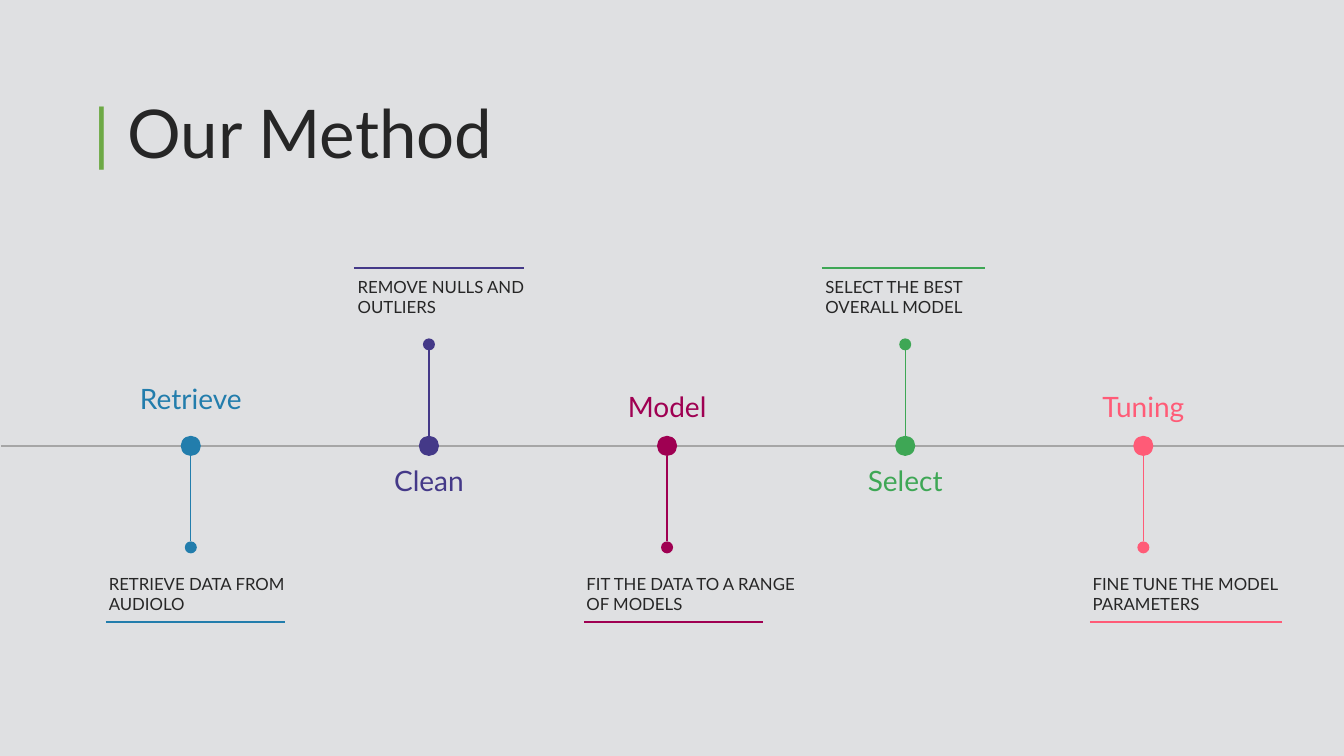
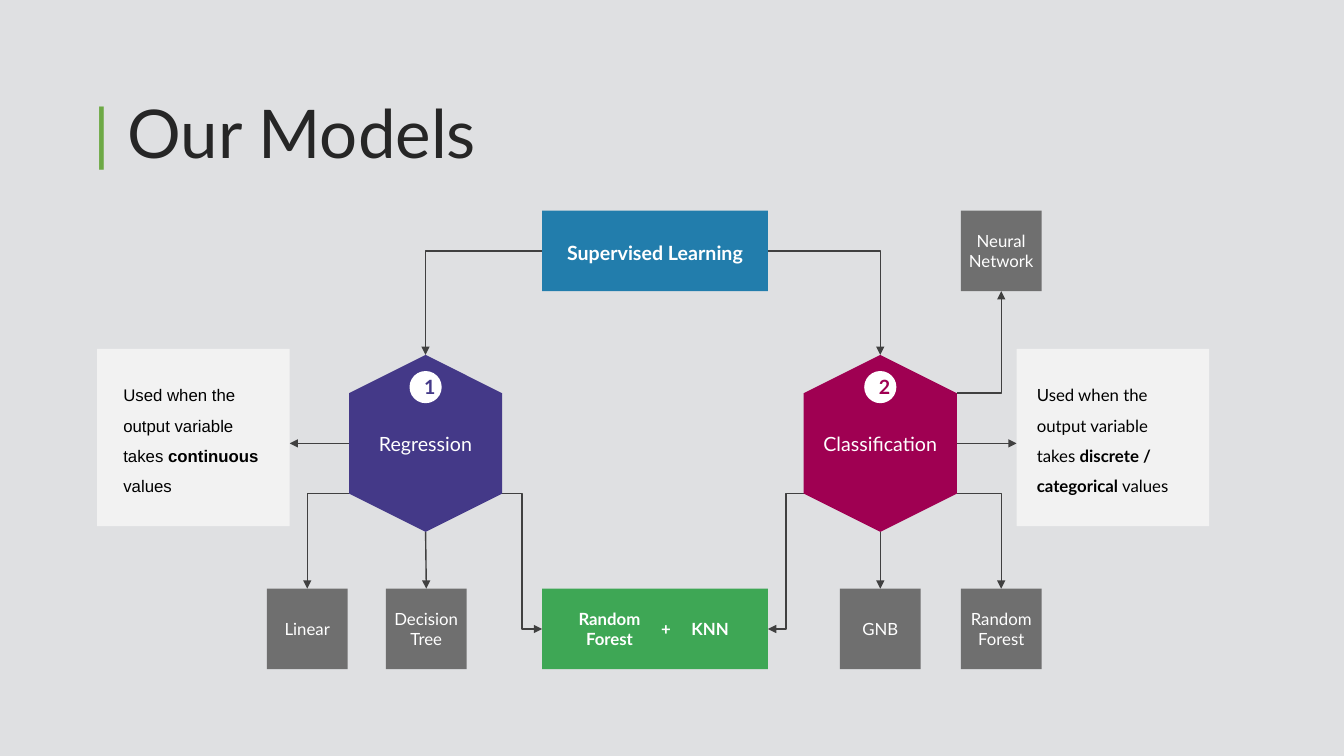
from dataclasses import dataclass

from lxml import etree
from pptx import Presentation
from pptx.dml.color import RGBColor
from pptx.enum.shapes import MSO_CONNECTOR, MSO_SHAPE
from pptx.enum.text import MSO_ANCHOR, PP_ALIGN
from pptx.oxml.ns import qn
from pptx.util import Pt

STRAIGHT, ELBOW = MSO_CONNECTOR.STRAIGHT, MSO_CONNECTOR.ELBOW
RECT, OVAL, HEXAGON = MSO_SHAPE.RECTANGLE, MSO_SHAPE.OVAL, MSO_SHAPE.HEXAGON
LEFT, CENTER = PP_ALIGN.LEFT, PP_ALIGN.CENTER
TOP, MIDDLE = MSO_ANCHOR.TOP, MSO_ANCHOR.MIDDLE
CORNER = "corner"


class Theme:
    background, ink, black, white = "DFE0E2", "262626", "000000", "FFFFFF"
    title_bar, axis, arrow = "6DA945", "A6A6A6", "404040"
    tile, card = "6F6F6F", "F2F2F2"
    blue, purple, plum = "227DAC", "443988", "9F0052"
    green, coral = "3EA755", "FF5B77"
    font, card_font = "Lato", "Arial"
    title_size, step_size, heading_size, body_size = 48, 20, 14, 12


@dataclass
class Box:
    left: float
    top: float
    width: float
    height: float

    @classmethod
    def around(cls, x, y, width, height):
        return cls(x - width / 2, y - height / 2, width, height)

    @property
    def right(self):
        return self.left + self.width

    @property
    def bottom(self):
        return self.top + self.height

    @property
    def x(self):
        return self.left + self.width / 2

    @property
    def y(self):
        return self.top + self.height / 2

    def lengths(self):
        return [Pt(v) for v in (self.left, self.top, self.width, self.height)]


# step, colour, label top, caption, caption left, rule left, rule width
STEPS = [
    ("Retrieve", Theme.blue, 269.3, "RETRIEVE DATA FROM AUDIOLO", 70.6, 75.6, 128),
    ("Clean", Theme.purple, 327.6, "REMOVE NULLS AND OUTLIERS", 248.4, 252.8, 121.5),
    ("Model", Theme.plum, 275, "FIT THE DATA TO A RANGE OF MODELS", 411.8, 417.4, 127.6),
    ("Select", Theme.green, 327.6, "SELECT THE BEST OVERALL MODEL", 582.5, 587, 116.5),
    ("Tuning", Theme.coral, 274.5, "FINE TUNE THE MODEL PARAMETERS", 773.3, 778.5, 137.2),
]
AXIS_Y, FIRST_STEP_X, STEP_GAP = 318.5, 136.3, 170.1
DOT, END_DOT, STEM = 14.4, 8.6, 61

TILE, TILE_TOP, NETWORK_TOP = 57.6, 420.5, 150.4
HUB_LEFT, HUB_WIDTH = 387.3, 161.3
HEX_WIDTH, HEX_HEIGHT, HEX_Y, SHOULDER = 109.4, 126.4, 316.7, 27.3
TILES = {
    "linear": ("Linear", 190.7, TILE_TOP),
    "tree": ("Decision\nTree", 275.7, TILE_TOP),
    "gnb": ("GNB", 600, TILE_TOP),
    "forest": ("Random\nForest", 686.4, TILE_TOP),
    "network": ("Neural\nNetwork", 686.4, NETWORK_TOP),
}
# text, centre x
SHARED_MODELS = [("Random\nForest", 435.4), ("+", 475.7), ("KNN", 507.2)]
# number, name, colour, centre x
FAMILIES = [
    ("1", "Regression", Theme.purple, 304),
    ("2", "Classification", Theme.plum, 628.8),
]
# runs as (text, bold), left, font, left inset, right inset
CARDS = [
    ([("Used when the output variable takes ", False), ("continuous", True),
      (" values", False)], 69.4, Theme.card_font, 18.7, 15),
    ([("Used when the output variable takes ", False),
      ("discrete / categorical", True), (" values", False)],
     726.2, Theme.font, 14.4, 19.4),
]


def style(run, size, color, bold=False, font=Theme.font):
    run.font.name = font
    run.font.size = Pt(size)
    run.font.bold = bold
    run.font.color.rgb = RGBColor.from_string(color)


def set_insets(frame, left=0, top=0, right=0, bottom=0):
    frame.margin_left, frame.margin_top = Pt(left), Pt(top)
    frame.margin_right, frame.margin_bottom = Pt(right), Pt(bottom)


def write(frame, text, size, color, bold=False, align=CENTER, anchor=MIDDLE):
    frame.text = text
    frame.word_wrap = True
    frame.vertical_anchor = anchor
    for paragraph in frame.paragraphs:
        paragraph.alignment = align
        for run in paragraph.runs:
            style(run, size, color, bold)


def add_text(slide, box, *args, **options):
    frame = slide.shapes.add_textbox(*box.lengths()).text_frame
    write(frame, *args, **options)
    return frame


def add_filled(slide, kind, box, color):
    shape = slide.shapes.add_shape(kind, *box.lengths())
    shape.shadow.inherit = False
    shape.fill.solid()
    shape.fill.fore_color.rgb = RGBColor.from_string(color)
    shape.line.fill.background()
    set_insets(shape.text_frame)
    return shape


def add_line(slide, start, end, color, width=1, kind=STRAIGHT, arrow=False):
    """Draw a line; a CORNER line runs sideways first, then turns once."""
    line = slide.shapes.add_connector(
        ELBOW if kind == CORNER else kind, *[Pt(v) for v in (*start, *end)])
    line.line.width = Pt(width)
    line.line.color.rgb = RGBColor.from_string(color)
    properties = line._element.spPr
    if kind == CORNER:
        properties.find(qn("a:prstGeom")).set("prst", "bentConnector2")
    if arrow:
        etree.SubElement(properties.find(qn("a:ln")), qn("a:tailEnd"), type="triangle")
    etree.SubElement(properties, qn("a:effectLst"))


def add_titled_slide(deck, title):
    slide = deck.slides.add_slide(deck.slide_layouts[6])
    frame = add_text(slide, Box(59.8, 61.9, 578.9, 65.5), "|", Theme.title_size,
                     Theme.title_bar, align=LEFT, anchor=TOP)
    run = frame.paragraphs[0].add_run()
    run.text = " " + title
    style(run, Theme.title_size, Theme.ink)
    return slide


def build_method(deck):
    slide = add_titled_slide(deck, "Our Method")
    add_line(slide, (0.7, AXIS_Y), (960, AXIS_Y), Theme.axis, 1.5)
    for i, (step, color, label_top, caption, caption_left, rule_left,
            rule_width) in enumerate(STEPS):
        x = FIRST_STEP_X + i * STEP_GAP
        down = i % 2 == 0
        side = 1 if down else -1
        caption_top, rule_y = (406.3, 444.2) if down else (194, 191.5)
        stem_start = AXIS_Y + side * DOT / 2
        stem_end = stem_start + side * STEM
        add_line(slide, (x, stem_start), (x, stem_end), color)
        add_filled(slide, OVAL, Box.around(x, AXIS_Y, DOT, DOT), color)
        add_filled(slide, OVAL, Box.around(
            x, stem_end + side * END_DOT / 2, END_DOT, END_DOT), color)
        add_text(slide, Box(x - 67.7, label_top, 135.4, 31.7), step,
                 Theme.step_size, color, anchor=TOP)
        add_text(slide, Box(caption_left, caption_top, 164.2, 36), caption,
                 Theme.body_size, Theme.ink, align=LEFT, anchor=TOP)
        add_line(slide, (rule_left, rule_y), (rule_left + rule_width, rule_y),
                 color, 1.5)


def add_family(slide, number, name, color, box):
    # The preset hexagon lies on its side, so it is turned to stand on a point.
    hexagon = add_filled(slide, HEXAGON, Box.around(
        box.x, box.y, box.height, box.width), color)
    hexagon.rotation = 270
    badge = add_filled(slide, OVAL, Box.around(box.x, 276.5, 23, 23), Theme.white)
    write(badge.text_frame, number, Theme.heading_size, color, bold=True)
    set_insets(badge.text_frame, left=6)
    add_text(slide, Box.around(box.x, box.y + 0.5, 124, 30), name,
             Theme.heading_size, Theme.white)


def add_card(slide, runs, box, font, left_inset, right_inset):
    frame = add_filled(slide, RECT, box, Theme.card).text_frame
    frame.word_wrap = True
    frame.vertical_anchor = TOP
    set_insets(frame, left_inset, 18.7, right_inset)
    paragraph = frame.paragraphs[0]
    paragraph.alignment = LEFT
    paragraph.line_spacing = 1.5
    for text, bold in runs:
        run = paragraph.add_run()
        run.text = text
        style(run, Theme.body_size, Theme.black, bold, font)


def build_models(deck):
    slide = add_titled_slide(deck, "Our Models")
    root = Box(HUB_LEFT, NETWORK_TOP, HUB_WIDTH, TILE)
    shared = Box(HUB_LEFT, TILE_TOP, HUB_WIDTH, TILE)
    tiles = {key: Box(left, top, TILE, TILE) for key, (_, left, top) in TILES.items()}
    cards = [Box(card[1], 249.2, 137.5, 126.7) for card in CARDS]
    families = [Box.around(family[3], HEX_Y, HEX_WIDTH, HEX_HEIGHT)
                for family in FAMILIES]
    regression, classification = families
    high, low = regression.top + SHOULDER, regression.bottom - SHOULDER

    arrows = [
        ((regression.left, HEX_Y), (cards[0].right, HEX_Y), STRAIGHT),
        ((classification.right, HEX_Y), (cards[1].left, HEX_Y), STRAIGHT),
        ((regression.left, low), (tiles["linear"].x, TILE_TOP), CORNER),
        ((regression.x, regression.bottom), (tiles["tree"].x, TILE_TOP), STRAIGHT),
        ((regression.right, low), (shared.left, shared.y), ELBOW),
        ((classification.left, low), (shared.right, shared.y), ELBOW),
        ((classification.x, classification.bottom), (tiles["gnb"].x, TILE_TOP), STRAIGHT),
        ((classification.right, low), (tiles["forest"].x, TILE_TOP), CORNER),
        ((root.left, root.y), (regression.x, regression.top), CORNER),
        ((root.right, root.y), (classification.x, classification.top), CORNER),
        ((classification.right, high),
         (tiles["network"].x, tiles["network"].bottom), CORNER),
    ]
    for start, end, kind in arrows:
        add_line(slide, start, end, Theme.arrow, kind=kind, arrow=True)

    for (number, name, color, _), box in zip(FAMILIES, families):
        add_family(slide, number, name, color, box)
    for (runs, _, font, left_inset, right_inset), box in zip(CARDS, cards):
        add_card(slide, runs, box, font, left_inset, right_inset)
    for key, (text, _, _) in TILES.items():
        tile = add_filled(slide, RECT, tiles[key], Theme.tile)
        write(tile.text_frame, text, Theme.body_size, Theme.white)

    heading = add_filled(slide, RECT, root, Theme.blue).text_frame
    write(heading, "Supervised Learning", Theme.heading_size, Theme.white, bold=True)
    set_insets(heading, top=2.5)
    add_filled(slide, RECT, shared, Theme.green)
    for text, x in SHARED_MODELS:
        add_text(slide, Box.around(x, shared.y, 64, 36), text, Theme.body_size,
                 Theme.white, bold=True)


def main():
    deck = Presentation()
    deck.slide_width, deck.slide_height = Pt(960), Pt(540)
    fill = deck.slide_master.background.fill
    fill.solid()
    fill.fore_color.rgb = RGBColor.from_string(Theme.background)
    build_method(deck)
    build_models(deck)
    deck.save("out.pptx")


if __name__ == "__main__":
    main()
